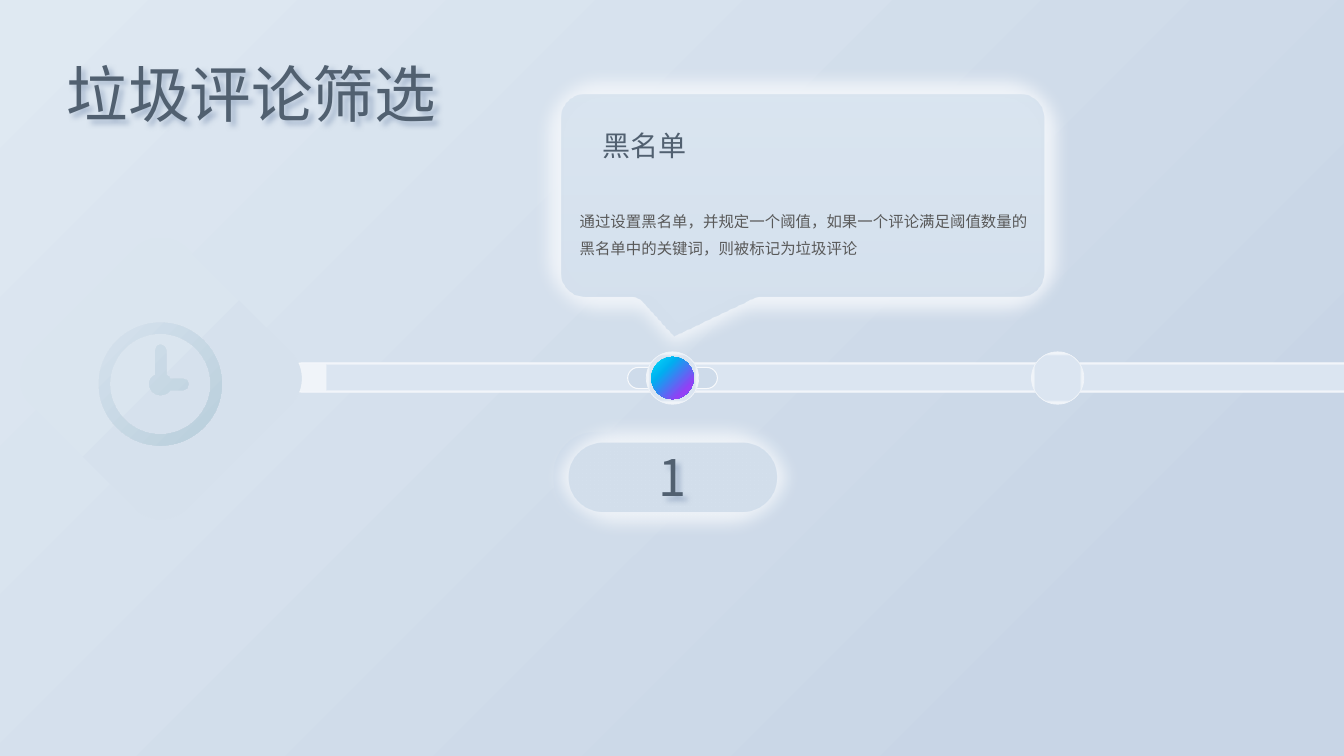
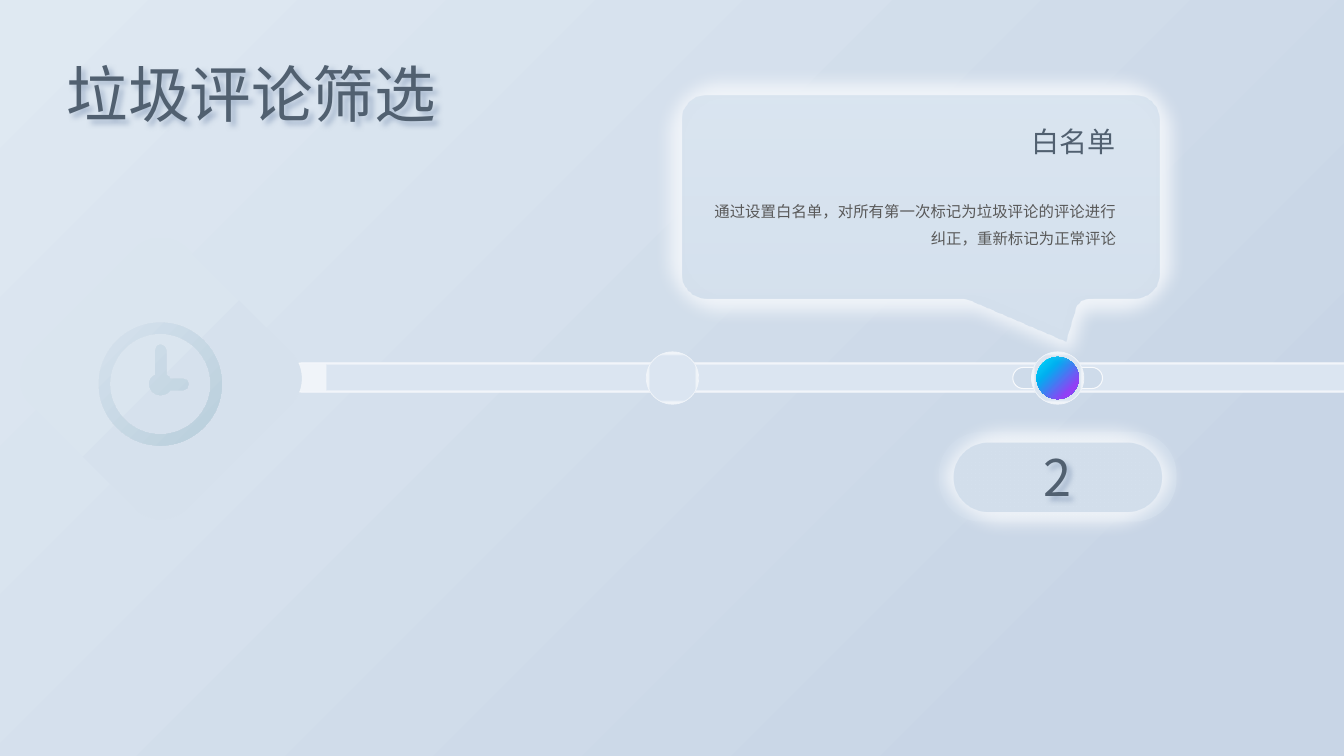
"""Builds the two timeline slides on filtering spam comments."""
import pptx
import pptx.util
import pptx.dml.color
import pptx.enum.shapes
import pptx.enum.text
import pptx.oxml
import pptx.oxml.ns
from lxml import etree

Inches, Pt = pptx.util.Inches, pptx.util.Pt
RGB = pptx.dml.color.RGBColor
qn = pptx.oxml.ns.qn
KIND = pptx.enum.shapes.MSO_SHAPE
ALIGN = pptx.enum.text.PP_ALIGN
LEFT, MID, RIGHT = ALIGN.LEFT, ALIGN.CENTER, ALIGN.RIGHT

FONT = "Noto Sans CJK JP"
INK = RGB(0x51, 0x60, 0x70)
GRAY = RGB(0x59, 0x59, 0x59)
SHADE = RGB(0x85, 0x9A, 0xB8)
PALE = RGB(0xF7, 0xF9, 0xFC)
MIST = RGB(0xF0, 0xF4, 0xF9)
HAZE = RGB(0xCE, 0xDB, 0xEA)
PILL = RGB(0xD4, 0xE0, 0xED)
BACK = [(0, RGB(0xDF, 0xE9, 0xF2)), (85, RGB(0xC8, 0xD5, 0xE6))]
TILE = [(0, RGB(0xDA, 0xE5, 0xEF)), (100, RGB(0xD6, 0xE1, 0xED))]
TRACK = [(84, RGB(0xDB, 0xE5, 0xF1)), (93, MIST)]
GLOW = [(0, RGB(0x04, 0xDF, 0xFB)), (31, RGB(0x00, 0xB0, 0xF0)),
        (79, RGB(0x93, 0x40, 0xF5))]
PANEL = [(0, RGB(0xDA, 0xE5, 0xF0)), (100, PILL)]
CLOCK = [(0, RGB(0xD6, 0xE2, 0xEE)), (100, RGB(0xB8, 0xCE, 0xDB))]

TITLE = "垃圾评论筛选"
STOPS = [6.67, 10.49]
AXIS = 3.75
STEPS = [
    dict(num="1", head="黑名单", align=LEFT,
         body="通过设置黑名单，并规定一个阈值，如果一个评论满足阈值数量的"
              "黑名单中的关键词，则被标记为垃圾评论",
         call=(5.42, 0.79, 5.07, 2.29), tail=(-0.258, 0.684),
         headbox=(5.88, 1.23, 2.07, 0.44), bodybox=(5.65, 1.96, 4.65, 0.65)),
    dict(num="2", head="白名单", align=RIGHT,
         body="通过设置白名单，对所有第一次标记为垃圾评论的评论进行"
              "纠正，重新标记为正常评论",
         call=(6.62, 0.8, 5.01, 2.29), tail=(0.305, 0.708),
         headbox=(9.09, 1.19, 2.07, 0.44), bodybox=(6.92, 1.86, 4.25, 0.65)),
]
HANDS = [
    [(1.82, 3.87)],
    [(1.69, 3.87)],
    [(1.67, 3.9), (1.63, 3.92), (1.59, 3.92)],
    [(1.53, 3.92), (1.48, 3.87), (1.48, 3.81)],
    [(1.48, 3.77), (1.5, 3.74), (1.54, 3.72)],
    [(1.54, 3.48)],
    [(1.54, 3.45), (1.56, 3.42), (1.59, 3.42)],
    [(1.62, 3.42), (1.65, 3.45), (1.65, 3.48)],
    [(1.65, 3.72)],
    [(1.67, 3.73), (1.68, 3.74), (1.69, 3.76)],
    [(1.82, 3.76)],
    [(1.85, 3.76), (1.87, 3.78), (1.87, 3.81)],
    [(1.87, 3.84), (1.85, 3.87), (1.82, 3.87)],
]


def blend(fill, host, stops, angle=None):
    """Give host a gradient, linear at angle or else spreading from the centre."""
    fill.solid()
    old = host.find(qn("a:solidFill"))
    grad = etree.Element(qn("a:gradFill"), rotWithShape="1")
    rows = etree.SubElement(grad, qn("a:gsLst"))
    for pos, tint in stops:
        stop = etree.SubElement(rows, qn("a:gs"), pos=str(pos * 1000))
        etree.SubElement(stop, qn("a:srgbClr"), val=str(tint))
    if angle is None:
        way = etree.SubElement(grad, qn("a:path"), path="shape")
        etree.SubElement(way, qn("a:fillToRect"),
                         {side: "50000" for side in "ltrb"})
    else:
        etree.SubElement(grad, qn("a:lin"), ang=str(angle * 60000), scaled="0")
    host.replace(old, grad)


def paint(shape, fill, angle=None, line=None, width=1, soft=0):
    """Set the fill, line and soft edge of a shape."""
    shape.shadow.inherit = False
    host = shape.element.spPr
    if isinstance(fill, list):
        blend(shape.fill, host, fill, angle)
    else:
        shape.fill.solid()
        shape.fill.fore_color.rgb = fill
    if line is None:
        shape.line.fill.background()
    else:
        shape.line.color.rgb = line
        shape.line.width = Pt(width)
    if soft:
        etree.SubElement(host.find(qn("a:effectLst")), qn("a:softEdge"),
                         rad=str(Pt(soft)))


def draw(slide, kind, box, fill, adj=(), turn=0, **look):
    """Add a preset shape."""
    shape = slide.shapes.add_shape(kind, *map(Inches, box))
    shape.rotation = turn
    for i, val in enumerate(adj):
        shape.adjustments[i] = val
    paint(shape, fill, **look)


def write(slide, text, box, size, color=INK, align=LEFT, space=None,
          shade=False, title=False):
    """Put text in a new box or in the title placeholder."""
    if title:
        shape = slide.shapes.title
        shape.left, shape.top, shape.width, shape.height = map(Inches, box)
    else:
        shape = slide.shapes.add_textbox(*map(Inches, box))
    frame = shape.text_frame
    frame.word_wrap = True
    frame.auto_size = pptx.enum.text.MSO_AUTO_SIZE.SHAPE_TO_FIT_TEXT
    frame.vertical_anchor = pptx.enum.text.MSO_ANCHOR.TOP
    para = frame.paragraphs[0]
    para.alignment = align
    if space:
        para.line_spacing = space
    run = para.add_run()
    run.text = text
    run.font.size = Pt(size)
    run.font.color.rgb = color
    run.font.name = FONT
    etree.SubElement(run.font._element, qn("a:ea"), typeface=FONT)
    if shade:
        shape.shadow.inherit = False
        cast = etree.SubElement(
            shape.element.spPr.find(qn("a:effectLst")), qn("a:outerShdw"),
            blurRad=str(Pt(4)), dist=str(Pt(4)), dir="2700000", algn="tl")
        tint = etree.SubElement(cast, qn("a:srgbClr"), val=str(SHADE))
        etree.SubElement(tint, qn("a:alpha"), val="60000")


def ring(x, y, r):
    """Return a circle as a start and four curves."""
    k = 0.55 * r
    return [[(x, y + r)],
            [(x - k, y + r), (x - r, y + k), (x - r, y)],
            [(x - r, y - k), (x - k, y - r), (x, y - r)],
            [(x + k, y - r), (x + r, y - k), (x + r, y)],
            [(x + r, y + k), (x + k, y + r), (x, y + r)]]


def clock(slide):
    """Draw the clock as a ring and a pair of hands."""
    edges = [ring(1.59, 3.81, 0.61), ring(1.59, 3.81, 0.5), HANDS]
    pen = None
    for edge in edges:
        spots = [(Inches(x), Inches(y)) for part in edge for x, y in part]
        if pen is None:
            pen = slide.shapes.build_freeform(*spots[0], scale=1.0)
        else:
            pen.move_to(*spots[0])
        pen.add_line_segments(spots[1:], close=True)
    shape = pen.convert_to_shape()
    steps = shape.element.spPr.iter(qn("a:lnTo"))
    nodes = iter(list(steps))
    for edge in edges:
        for part in edge[1:]:
            group = [next(nodes) for _ in part]
            if len(group) == 3:
                curve = etree.Element(qn("a:cubicBezTo"))
                group[0].addprevious(curve)
                for node in group:
                    curve.append(node[0])
                    node.getparent().remove(node)
    paint(shape, CLOCK, angle=45)


def mid(x, y, w, h):
    """Return the box of a given size centred on a point."""
    return x - w / 2, y - h / 2, w, h


def callout(slide, step):
    """Draw the speech panel and its text."""
    draw(slide, KIND.ROUNDED_RECTANGULAR_CALLOUT, step["call"], PANEL,
         adj=(*step["tail"], 0.167), angle=90, line=MIST, width=20, soft=12)
    write(slide, step["head"], step["headbox"], 20, align=step["align"])
    write(slide, step["body"], step["bodybox"], 11, color=GRAY,
          align=step["align"], space=1.5)


def build(deck, step, stop):
    """Add one slide with the given stop of the timeline lit."""
    slide = deck.slides.add_slide(deck.slide_layouts[5])
    bar = KIND.ROUNDED_RECTANGLE
    draw(slide, bar, mid(stop, 4.73, 2.36, 0.89), HAZE, adj=[0.47])
    draw(slide, bar, (2.85, 3.6, 10.87, 0.29), TRACK, adj=[0.5], line=PALE,
         width=0.75)
    draw(slide, bar, mid(stop, AXIS, 0.89, 0.21), HAZE, adj=[0.5], line=PALE,
         width=0.75)
    draw(slide, bar, (0.5, 2.66, 2.19, 2.19), TILE, turn=45, angle=0)
    clock(slide)
    write(slide, TITLE, (0.56, 0.5, 4.56, 0.84), 44, shade=True, title=True)
    for x in STOPS:
        draw(slide, KIND.OVAL, mid(x, AXIS, 0.52, 0.52), TRACK, line=MIST,
             width=0.5)
    draw(slide, KIND.OVAL, mid(stop, AXIS, 0.42, 0.42), GLOW, angle=45)
    draw(slide, bar, mid(stop, 4.73, 2.34, 0.96), PILL, adj=[0.5],
         line=MIST, width=20, soft=12)
    callout(slide, step)
    write(slide, step["num"], mid(stop, 4.73, 1.91, 0.71), 36, align=MID,
          shade=True)


def main():
    """Build and save the deck."""
    deck = pptx.Presentation()
    deck.slide_width, deck.slide_height = Inches(13.33), Inches(7.5)
    base = deck.slide_master
    fill = base.background.fill
    fill.solid()
    blend(fill, base.element.find(".//" + qn("p:bgPr")), BACK, 45)
    for step, stop in zip(STEPS, STOPS):
        build(deck, step, stop)
    deck.save("out.pptx")


if __name__ == "__main__":
    main()
